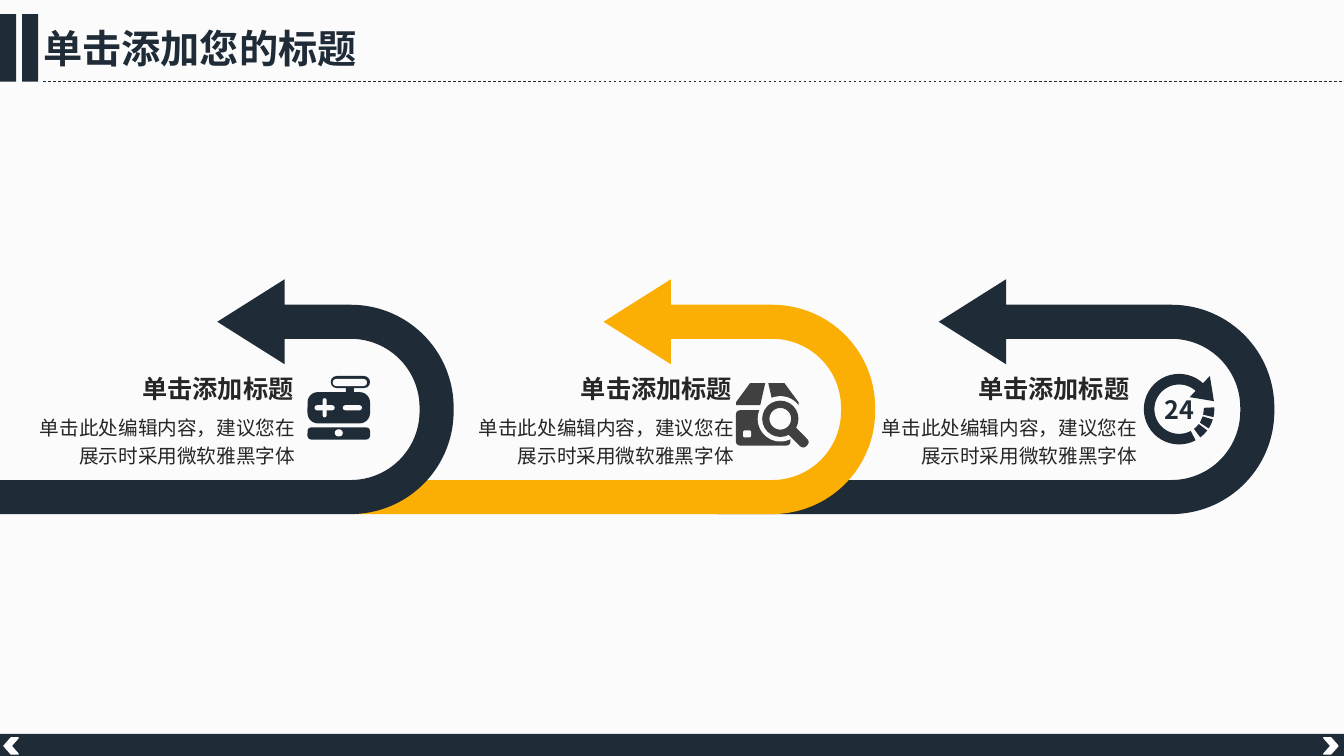
"""Build a slide with three U-turn arrows, each holding a caption and an icon."""
from lxml import etree
from pptx import Presentation
from pptx import util as u
from pptx.dml.color import RGBColor
from pptx.enum import dml, shapes, text
from pptx.oxml.ns import qn

NAVY = RGBColor(0x1F, 0x2B, 0x37)
AMBER = RGBColor(0xFB, 0xAE, 0x03)
GRAY = RGBColor(0x40, 0x40, 0x40)
INK = RGBColor(0x26, 0x26, 0x26)
PAPER = RGBColor(0xFB, 0xFB, 0xFB)
WHITE = RGBColor(0xFF, 0xFF, 0xFF)
FONT = "Noto Sans CJK SC"
KIND = shapes.MSO_SHAPE
CELL = u.Inches(0.01)
COLUMNS, ROWS = 1333, 750

deck = Presentation()
deck.slide_width = COLUMNS * CELL
deck.slide_height = ROWS * CELL
page = deck.slides.add_slide(deck.slide_layouts[5])
page.background.fill.solid()
page.background.fill.fore_color.rgb = PAPER


def paint(shape, color, adjust=()):
    """Give a shape a flat fill and its adjustments."""
    shape.shadow.inherit = False
    shape.fill.solid()
    shape.fill.fore_color.rgb = color
    shape.line.fill.background()
    for index, value in enumerate(adjust):
        shape.adjustments[index] = value
    return shape


def place(kind, cells, color, adjust=()):
    """Add a preset shape at (column, row, width, height) in grid cells."""
    lengths = [round(cell * CELL) for cell in cells]
    return paint(page.shapes.add_shape(kind, *lengths), color, adjust)


# Header and footer
HEADER_TOP, HEADER_BOTTOM, FOOTER_TOP = 14, 81, 728
rule = page.shapes.add_connector(
    shapes.MSO_CONNECTOR.STRAIGHT,
    43 * CELL, HEADER_BOTTOM * CELL, COLUMNS * CELL, HEADER_BOTTOM * CELL)
rule.line.color.rgb = NAVY
rule.line.width = u.Pt(0.5)
rule.line.dash_style = dml.MSO_LINE.DASH
etree.SubElement(rule._element.spPr, qn("a:effectLst"))
for bar_left in (0, 22):
    place(KIND.RECTANGLE, (bar_left, HEADER_TOP, 16, HEADER_BOTTOM - HEADER_TOP), NAVY)
place(KIND.RECTANGLE, (0, FOOTER_TOP, COLUMNS, ROWS - FOOTER_TOP), NAVY)
for chevron_left, turn in ((1313, 0), (4, 180)):
    chevron = place(KIND.CHEVRON, (chevron_left, 732, 14, 16), WHITE)
    chevron.rotation = turn
    chevron.line.color.rgb = WHITE
    chevron.line.width = u.Pt(1)

# U-turn arrows, upright boxes turned a quarter about their centers
BREADTH, ARROW_MIDDLE = 233, 393.5
for tip_right, length, bend, color in (
        (1264, 553, 0.602, NAVY), (868, 518, 0.52, AMBER), (450, 450, 0.521, NAVY)):
    arrow_center = tip_right - length / 2
    upright = (arrow_center - BREADTH / 2, ARROW_MIDDLE - length / 2, BREADTH, length)
    arrow = place(KIND.U_TURN_ARROW, upright, color, (0.145, 0.181, 0.287, 0.438, bend))
    arrow.rotation = 90
    arrow._element.spPr.find(qn("a:xfrm")).set("flipH", "1")

# Game console icon
console = {
    "handle": ((328, 373, 39, 12), NAVY, 0.5),
    "handle gap": ((330, 376, 34, 7), PAPER, 0.5),
    "neck": ((343, 384, 8, 6), NAVY, 0),
    "body": ((305, 389, 62, 31), NAVY, 0.33),
    "plus across": ((312, 402, 20, 5), PAPER, 0.5),
    "plus down": ((320, 395, 4, 19), PAPER, 0.5),
    "minus": ((340, 402, 19, 5), PAPER, 0.5),
    "base": ((305, 424, 62, 12), NAVY, 0.3),
    "base dot": ((332, 426, 8, 7), PAPER, 0.5),
}
for cells, color, corner in console.values():
    place(KIND.ROUNDED_RECTANGLE, cells, color, (corner,))

# Parcel and magnifier icon: mirrored roof halves, box, lens with a clear halo
PARCEL_AXIS, ROOF_TOP, ROOF_BOTTOM = 760.5, 380, 402
LENS_X, LENS_Y, LENS_SIZE, HALO_SIZE = 774, 415.5, 36, 45
for side in (-1, 1):
    inner_top, outer_top, outer_bottom, inner_bottom = [
        PARCEL_AXIS + side * reach for reach in (1.5, 17, 31, 6.5)]
    roof = page.shapes.build_freeform(inner_top, ROOF_TOP, scale=CELL)
    roof.add_line_segments([(outer_top, ROOF_TOP), (outer_bottom, ROOF_BOTTOM - 3),
                            (outer_bottom, ROOF_BOTTOM), (inner_bottom, ROOF_BOTTOM)])
    paint(roof.convert_to_shape(), GRAY)
place(KIND.ROUNDED_RECTANGLE, (730, 407, 54, 35), GRAY, (0.11,))
place(KIND.ROUNDED_RECTANGLE, (737, 427, 8, 7), PAPER, (0.25,))
for kind, size, color, adjust in (
        (KIND.OVAL, HALO_SIZE, PAPER, ()), (KIND.DONUT, LENS_SIZE, GRAY, (0.2,))):
    place(kind, (LENS_X - size / 2, LENS_Y - size / 2, size, size), color, adjust)
grip = place(KIND.ROUNDED_RECTANGLE, (778, 428, 26, 10), GRAY, (0.4,))
grip.rotation = 45

# Round-the-clock icon: one long arc, three short ones, an arrowhead
CLOCK_X, CLOCK_Y, RADIUS = 1169.5, 406, 35
ARC_UNIT, BAND = 0.6, 0.15
DASH_START, DASH_STEP, DASH_SWEEP = 357, 20, 16
dial = (CLOCK_X - RADIUS, CLOCK_Y - RADIUS, 2 * RADIUS, 2 * RADIUS)
arcs = [(62, 314)]
for count in range(3):
    start = DASH_START + count * DASH_STEP
    arcs.append((start % 360, (start + DASH_SWEEP) % 360))
for start, end in arcs:
    place(KIND.BLOCK_ARC, dial, NAVY, (start * ARC_UNIT, end * ARC_UNIT, BAND))
arrowhead = page.shapes.build_freeform(1180, 394, scale=CELL)
arrowhead.add_line_segments([(1200, 373), (1204, 398)])
paint(arrowhead.convert_to_shape(), NAVY)

# Wording: (box, cells, words, size, bold, color, alignment, inset)
LEFT, CENTER, RIGHT = text.PP_ALIGN.LEFT, text.PP_ALIGN.CENTER, text.PP_ALIGN.RIGHT
CAPTION_WIDTH, NOTE_WIDTH = 200, 261
writings = [
    (page.shapes.title, (33, 19, 408, 57), "单击添加您的标题", 28, True, NAVY, LEFT, True),
    (page.shapes.add_textbox(0, 0, CELL, CELL), (1145, 391, 50, 30),
     "24", 18, True, NAVY, CENTER, False),
]
for caption_right, note_right in ((301, 293), (736, 728), (1130, 1128)):
    caption_cells = (caption_right - CAPTION_WIDTH, 365, CAPTION_WIDTH, 40)
    note_cells = (note_right - NOTE_WIDTH, 408, NOTE_WIDTH, 55)
    writings.append((page.shapes.add_textbox(0, 0, CELL, CELL), caption_cells,
                     "单击添加标题", 18, True, INK, RIGHT, True))
    writings.append((page.shapes.add_textbox(0, 0, CELL, CELL), note_cells,
                     "单击此处编辑内容，建议您在展示时采用微软雅黑字体",
                     14, False, INK, RIGHT, False))

for box, cells, words, size, bold, color, alignment, inset in writings:
    box.left, box.top, box.width, box.height = [cell * CELL for cell in cells]
    frame = box.text_frame
    frame.word_wrap = True
    frame.vertical_anchor = text.MSO_ANCHOR.TOP
    frame.auto_size = text.MSO_AUTO_SIZE.SHAPE_TO_FIT_TEXT
    para = frame.paragraphs[0]
    para.text = words
    para.alignment = alignment
    if not inset:
        frame.auto_size = text.MSO_AUTO_SIZE.NONE
        frame.margin_left = frame.margin_right = frame.margin_top = frame.margin_bottom = 0
    if not bold:
        para.line_spacing = 1.2
        para.space_after = u.Pt(6)
    para.font.size = u.Pt(size)
    para.font.bold = bold
    para.font.color.rgb = color
    para.font.name = FONT
    etree.SubElement(para.font._rPr, qn("a:ea"), typeface=FONT)

deck.save("out.pptx")
